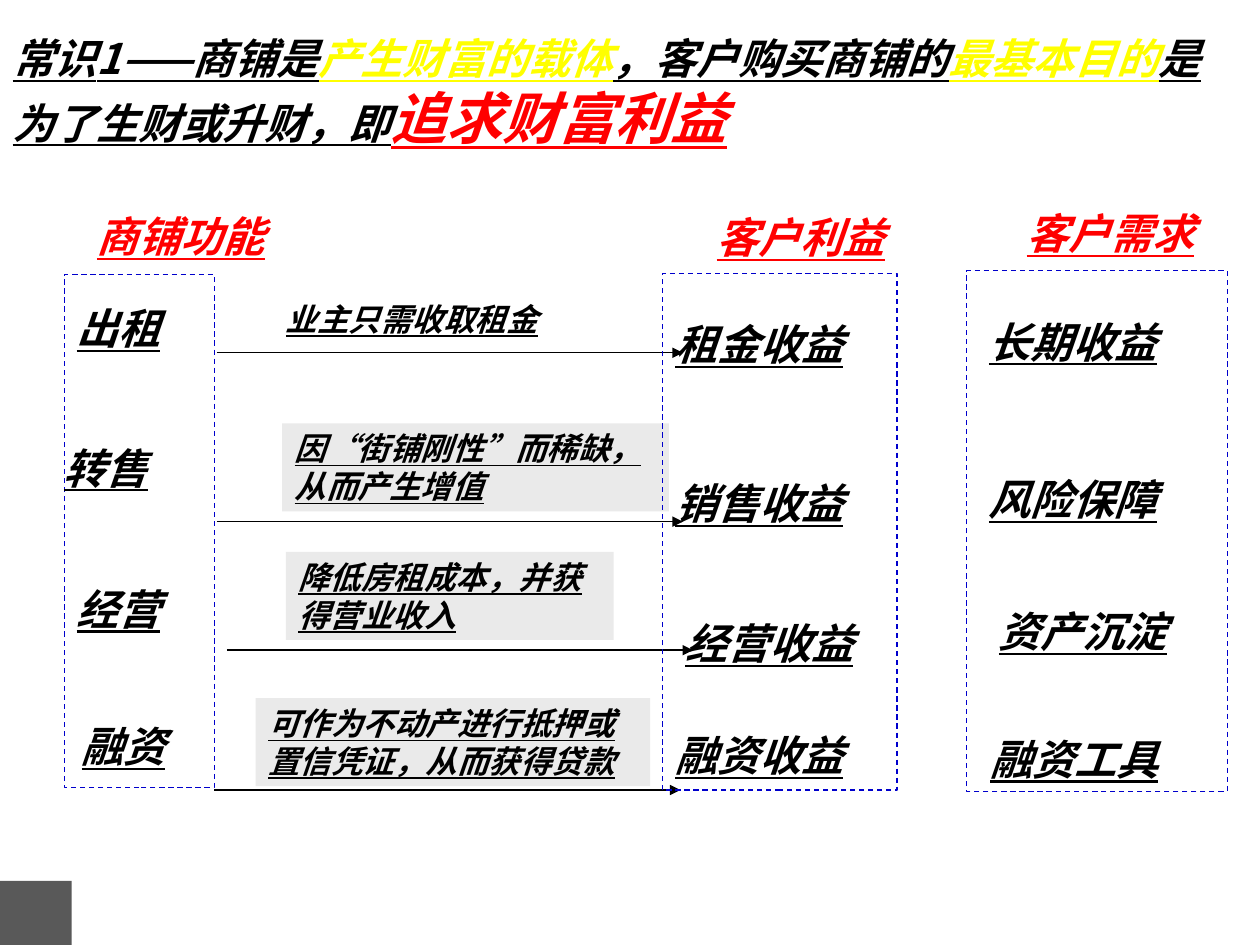
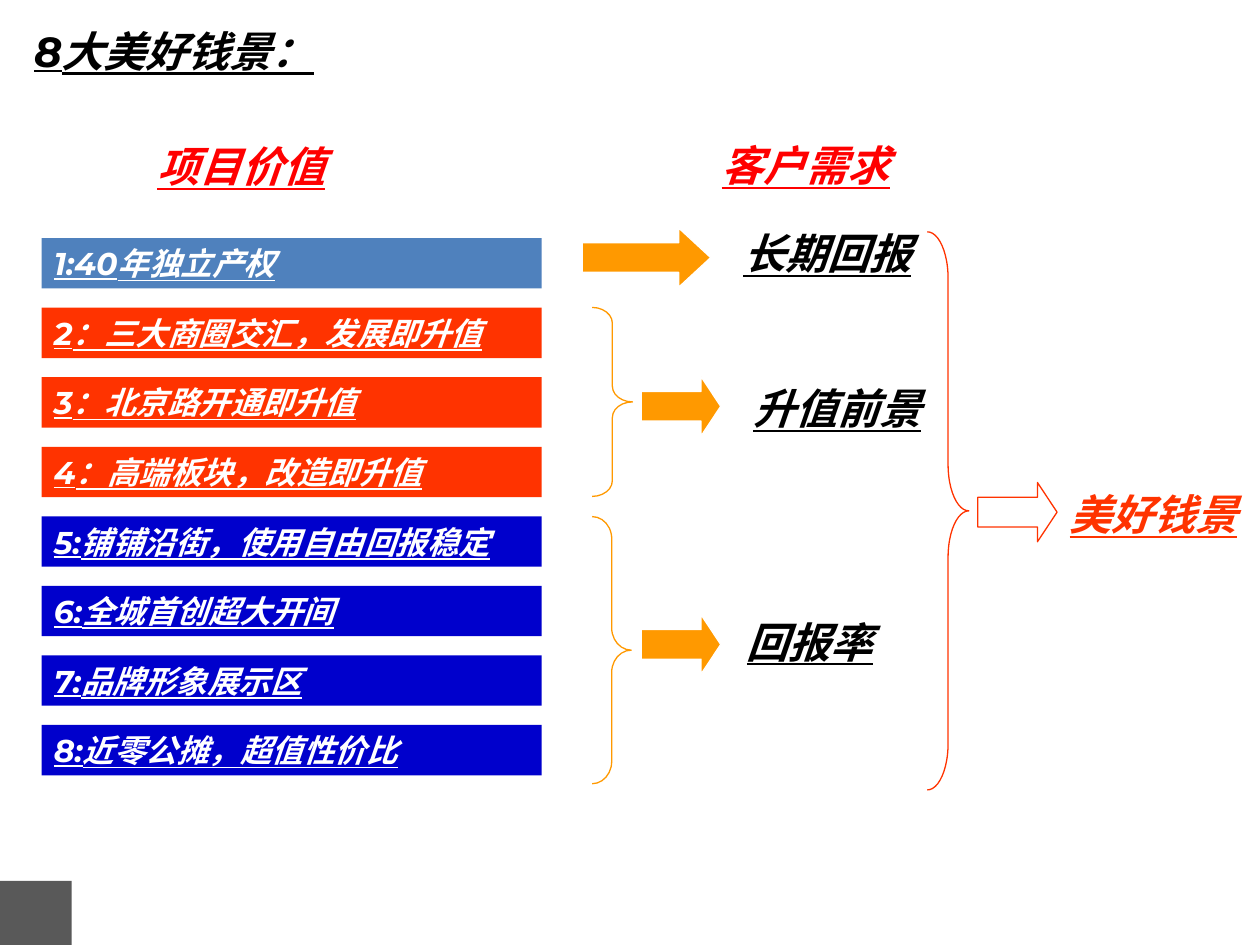
from lxml import etree
from pptx import Presentation
from pptx import util as u
from pptx.dml.color import RGBColor
from pptx.enum import dml, shapes, text
from pptx.oxml.ns import qn

COLORS = {
    "ink": "000000", "paper": "FFFFFF", "key": "FF0000", "glow": "FFFF00",
    "frame": "0000CC", "caption": "EAEAEA", "corner": "595959",
    "right": "4F81BD", "growth": "FF3300", "yield": "0000CC", "arrow": "FF9900",
}
CJK, LATIN = "Noto Sans CJK SC", "Montserrat"
COLUMNS, ROWS = 100, 75
SLIDE_WIDTH, SLIDE_HEIGHT = u.Inches(10), u.Inches(7.5)
LINE_ROWS = 5

COMMON_SENSE = [
    ("常识1——商铺是", "ink", 24), ("产生财富的载体", "glow", 24),
    ("，客户购买商铺的", "ink", 24), ("最基本目的", "glow", 24),
    ("是为了生财或升财，即", "ink", 24), ("追求财富利益", "key", 32),
]
CHAIN = [
    {"heading": ("商铺功能", 6.7, 16.2), "frame": (5.1, 21.8, 11.9, 40.7), "width": 20,
     "items": [("出租", 5.1, 23.5), ("转售", 4.1, 34.6), ("经营", 5.1, 45.8), ("融资", 5.5, 56.7)]},
    {"heading": ("客户利益", 55.9, 16.3), "frame": (52.6, 21.7, 18.6, 41), "width": 21.3,
     "items": [("租金收益", 52.6, 24.8), ("销售收益", 52.6, 37.4),
               ("经营收益", 53.4, 48.5), ("融资收益", 52.6, 57.4)]},
    {"heading": ("客户需求", 80.5, 16), "frame": (76.7, 21.5, 20.7, 41.3), "width": 18.8,
     "items": [("长期收益", 77.5, 24.6), ("风险保障", 77.5, 37.1),
               ("资产沉淀", 78.3, 47.6), ("融资工具", 77.6, 57.7)]},
]
REASONS = [
    ("业主只需收取租金", (21.7, 23.3, 26, 4), None, (17.2, 28)),
    ("因“街铺刚性”而稀缺，从而产生增值", (22.4, 33.6, 30.7, 7), "caption", (17.2, 41.4)),
    ("降低房租成本，并获得营业收入", (22.7, 43.8, 26, 7), "caption", (18, 51.6)),
    ("可作为不动产进行抵押或置信凭证，从而获得贷款", (20.3, 55.4, 31.3, 7), "caption", (17, 62.7)),
]
REASON_ARROW = 37

PROSPECTS = [("8大美好钱景：", "ink", 24)]
VALUES = [
    ("1:40年独立产权", "right"),
    ("2：三大商圈交汇，发展即升值", "growth"),
    ("3：北京路开通即升值", "growth"),
    ("4：高端板块，改造即升值", "growth"),
    ("5:铺铺沿街，使用自由回报稳定", "yield"),
    ("6:全城首创超大开间", "yield"),
    ("7:品牌形象展示区", "yield"),
    ("8:近零公摊，超值性价比", "yield"),
]
VALUE_LEFT, VALUE_TOP, VALUE_WIDTH, VALUE_HEIGHT, VALUE_STEP = 3.3, 18.9, 39.7, 4, 5.52
VALUE_HEADINGS = [("项目价值", 11.5, 10.7), ("客户需求", 56.3, 10.6)]
NEEDS = [
    ("长期回报", (58, 17.6), (46.2, 18.1, 10.2), 0.54),
    ("升值前景", (58.8, 29.9), (50.9, 29.9, 6.3), 0.33),
    ("回报率", (58.3, 48.4), (50.9, 48.8, 6.3), 0.33),
]
BRACES = [
    ((47, 24.4, 3.2, 15), "arrow"),
    ((47, 41, 3.1, 21.2), "arrow"),
    ((73.6, 18.4, 3.3, 44.3), "growth"),
]
OUTCOME = ("美好钱景", (83.9, 38.3), (77.6, 38.3, 6.3), 0.33)
ARROW_HEIGHT = 4.7


def rgb(name):
    return RGBColor.from_string(COLORS[name])


def across(columns):
    return round(SLIDE_WIDTH * columns / COLUMNS)


def down(rows):
    return round(SLIDE_HEIGHT * rows / ROWS)


def place(area):
    left, top, width, height = area
    return across(left), down(top), across(width), down(height)


def write(holder, runs, font=CJK, wrap=True):
    frame = holder.text_frame
    frame.word_wrap = wrap
    frame.auto_size = text.MSO_AUTO_SIZE.NONE
    frame.vertical_anchor = text.MSO_ANCHOR.TOP
    paragraph = frame.paragraphs[0]
    paragraph.alignment = text.PP_ALIGN.LEFT
    paragraph.space_before = u.Pt(0)
    for words, color, size in runs:
        run = paragraph.add_run()
        run.text = words
        run.font.size = u.Pt(size)
        run.font.bold = run.font.italic = run.font.underline = True
        run.font.color.rgb = rgb(color)
        run.font.name = font
        east_asian = etree.Element(qn("a:ea"), typeface=CJK)
        run.font._element.find(qn("a:latin")).addnext(east_asian)


def add_words(slide, words, area, color="ink", size=24, font=CJK, wrap=True):
    write(slide.shapes.add_textbox(*place(area)), [(words, color, size)], font, wrap)


def add_heading(slide, words, left, top):
    add_words(slide, words, (left, top, 15.3, LINE_ROWS), "key", wrap=False)


def add_block(slide, kind, area, fill=None, line=None, dash=None):
    block = slide.shapes.add_shape(kind, *place(area))
    block.shadow.inherit = False
    if fill:
        block.fill.solid()
        block.fill.fore_color.rgb = rgb(fill)
    else:
        block.fill.background()
    if line:
        block.line.color.rgb = rgb(line)
        block.line.width = u.Pt(0.75)
        if dash:
            block.line.dash_style = dash
    else:
        block.line.fill.background()
    return block


def add_box(slide, area, fill=None, line=None, dash=None):
    return add_block(slide, shapes.MSO_SHAPE.RECTANGLE, area, fill, line, dash)


def add_block_arrow(slide, start, head, fill, line):
    arrow = add_block(slide, shapes.MSO_SHAPE.RIGHT_ARROW, (*start, ARROW_HEIGHT), fill, line)
    arrow.adjustments[0] = 0.5
    arrow.adjustments[1] = head


def add_brace(slide, area, color):
    brace = add_block(slide, shapes.MSO_SHAPE.RIGHT_BRACE, area, line=color)
    brace.adjustments[0] = area[3] / 12 / area[2]
    brace.adjustments[1] = 0.5


def add_reason_arrow(slide, left, top):
    arrow = slide.shapes.add_connector(
        shapes.MSO_CONNECTOR.STRAIGHT, across(left), down(top),
        across(left + REASON_ARROW), down(top))
    arrow.line.color.rgb = rgb("ink")
    arrow.line.width = u.Pt(0.75)
    etree.SubElement(arrow.line._get_or_add_ln(), qn("a:tailEnd"), type="triangle")
    etree.SubElement(arrow._element.spPr, qn("a:effectLst"))


def start_slide(deck, title_runs, title_area, font):
    slide = deck.slides.add_slide(deck.slide_layouts[5])
    title = slide.shapes.title
    title.left, title.top, title.width, title.height = place(title_area)
    write(title, title_runs, font)
    add_box(slide, (0, 69.9, 5.7, 5.1), "corner")
    return slide


def build_chain(deck):
    slide = start_slide(deck, COMMON_SENSE, (0, 2.1, 96.9, 10.4), CJK)
    for words, area, fill, arrow_start in REASONS:
        caption = add_box(slide, area, fill)
        write(caption, [(words, "ink", 18)])
        add_reason_arrow(slide, *arrow_start)
    for stage in CHAIN:
        add_box(slide, stage["frame"], line="frame", dash=dml.MSO_LINE.DASH)
        add_heading(slide, *stage["heading"])
        for words, left, top in stage["items"]:
            add_words(slide, words, (left, top, stage["width"], LINE_ROWS))


def build_prospects(deck):
    slide = start_slide(deck, PROSPECTS, (1.7, 1.5, 98.3, LINE_ROWS), LATIN)
    for row, (words, group) in enumerate(VALUES):
        top = VALUE_TOP + row * VALUE_STEP
        value = add_box(slide, (VALUE_LEFT, top, VALUE_WIDTH, VALUE_HEIGHT), group)
        write(value, [(words, "paper", 18)], LATIN)
    for heading in VALUE_HEADINGS:
        add_heading(slide, *heading)
    for area, color in BRACES:
        add_brace(slide, area, color)
    for words, position, arrow_start, head in NEEDS:
        add_block_arrow(slide, arrow_start, head, "arrow", "paper")
        add_words(slide, words, (*position, 17, LINE_ROWS), font=LATIN)
    words, position, arrow_start, head = OUTCOME
    add_block_arrow(slide, arrow_start, head, None, "growth")
    add_words(slide, words, (*position, 16.1, LINE_ROWS), "growth", font=LATIN)


def main():
    deck = Presentation()
    deck.slide_width, deck.slide_height = SLIDE_WIDTH, SLIDE_HEIGHT
    build_chain(deck)
    build_prospects(deck)
    deck.save("out.pptx")


if __name__ == "__main__":
    main()
